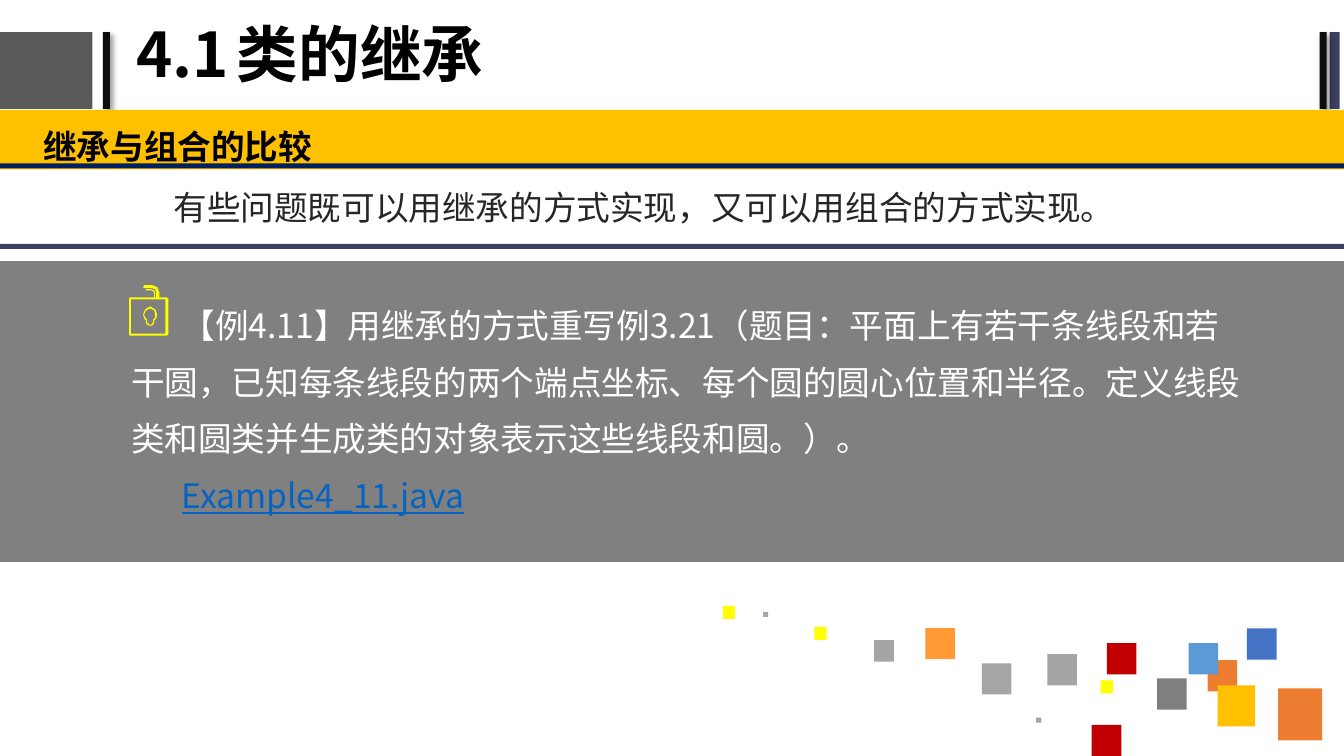
from dataclasses import dataclass

from lxml import etree
from pptx import Presentation
from pptx.dml.color import RGBColor
from pptx.enum.shapes import MSO_SHAPE
from pptx.enum.text import MSO_ANCHOR, MSO_AUTO_SIZE, PP_ALIGN
from pptx.oxml.ns import qn
from pptx.util import Inches, Pt

RECT = MSO_SHAPE.RECTANGLE
TOP, MIDDLE = MSO_ANCHOR.TOP, MSO_ANCHOR.MIDDLE
NO_FIT = MSO_AUTO_SIZE.NONE
LEFT = PP_ALIGN.LEFT


@dataclass(frozen=True)
class Theme:
    font: str = "Noto Sans CJK SC"
    head: int = 44
    body: int = 24
    black: str = "000000"
    white: str = "FFFFFF"
    ink: str = "262626"
    coal: str = "0D0D0D"
    slate: str = "595959"
    panel: str = "808080"
    dusk: str = "3B3F60"
    navy: str = "002060"
    gold: str = "FFC000"
    lemon: str = "FFFF00"
    orange: str = "ED7D31"
    amber: str = "FF9933"
    sky: str = "5B9BD5"
    blue: str = "4472C4"
    red: str = "C00000"
    ash: str = "A5A5A5"
    mist: str = "A6A6A6"
    stone: str = "7F7F7F"
    link: str = "0563C1"


def write(par, text, theme, size, color, bold=False, under=False,
          lead=1.0, indent=0, tab=0):
    """Fill one paragraph; indent and tab are in inches."""
    props = par._p.get_or_add_pPr()
    props.set("marL", "0")
    props.set("indent", str(Inches(indent)))
    if tab:
        stops = etree.SubElement(props, qn("a:tabLst"))
        etree.SubElement(stops, qn("a:tab"), pos=str(Inches(tab)), algn="l")
    par.alignment = LEFT
    par.line_spacing = lead
    par.space_before = Pt(0)
    run = par.add_run()
    run.text = text
    font = run.font
    font.name, font.size = theme.font, Pt(size)
    font.bold, font.underline = bold, under
    font.color.rgb = RGBColor.from_string(color)
    latin = run._r.rPr.find(qn("a:latin"))
    east = etree.Element(qn("a:ea"), typeface=theme.font)
    latin.addnext(east)


class Deck:
    """Places are given in percent of the slide's width and height."""

    def __init__(self, theme):
        self.theme = theme
        self.file = Presentation()
        self.file.slide_width = Inches(13.33)
        self.file.slide_height = Inches(7.5)
        self.slide = self.file.slides.add_slide(self.file.slide_layouts[5])

    def spot(self, x, y):
        return (round(self.file.slide_width * x / 100),
                round(self.file.slide_height * y / 100))

    def box(self, x, y, w, h):
        return self.spot(x, y) + self.spot(w, h)

    def paint(self, shape, color):
        shape.shadow.inherit = False
        shape.fill.solid()
        shape.fill.fore_color.rgb = RGBColor.from_string(color)
        shape.line.fill.background()

    def rect(self, x, y, w, h, color, edge=None, shade=False):
        shape = self.slide.shapes.add_shape(RECT, *self.box(x, y, w, h))
        self.paint(shape, color)
        if edge:
            shape.line.color.rgb = RGBColor.from_string(edge)
            shape.line.width = Pt(0.25)
        if shade:
            effects = shape._element.spPr.find(qn("a:effectLst"))
            outer = etree.SubElement(
                effects, qn("a:outerShdw"), blurRad=str(Pt(4)),
                dist=str(Pt(3)), dir=str(45 * 60000), rotWithShape="0")
            tint = etree.SubElement(outer, qn("a:srgbClr"),
                                    val=self.theme.black)
            etree.SubElement(tint, qn("a:alpha"), val="40000")

    def form(self, x, y, rings, color):
        """Draw closed rings, in hundredths of an inch from x, y."""
        first, *rest = rings
        pen = self.slide.shapes.build_freeform(*first[0], scale=Inches(0.01))
        pen.add_line_segments(first[1:], close=True)
        for ring in rest:
            pen.move_to(*ring[0])
            pen.add_line_segments(ring[1:], close=True)
        self.paint(pen.convert_to_shape(*self.spot(x, y)), color)

    def title(self, x, y, w, h, text, **look):
        shape = self.slide.shapes.title
        shape.left, shape.top, shape.width, shape.height = self.box(x, y, w, h)
        frame = shape.text_frame
        frame.word_wrap, frame.auto_size = True, NO_FIT
        frame.vertical_anchor = MIDDLE
        write(frame.paragraphs[0], text, self.theme, self.theme.head,
              self.theme.black, **look)

    def text(self, x, y, w, h, *items, **look):
        """Each item is a text and a dict of its own format."""
        shape = self.slide.shapes.add_textbox(*self.box(x, y, w, h))
        frame = shape.text_frame
        frame.word_wrap, frame.auto_size = True, NO_FIT
        frame.vertical_anchor = TOP
        frame.margin_left = frame.margin_right = Inches(0.13)
        frame.margin_top = frame.margin_bottom = Inches(0.07)
        for i, (words, own) in enumerate(items):
            par = frame.add_paragraph() if i else frame.paragraphs[0]
            write(par, words, self.theme, self.theme.body, **look, **own)


# Lock outlines
LOCK = [
    [(37, 12), (30, 12), (30, 7), (28, 2), (23, 0), (15, 0), (14, 2), (15, 3),
     (23, 3), (26, 4), (27, 7), (27, 12), (26, 12), (26, 8), (25, 5), (22, 4),
     (17, 4), (17, 5), (22, 5), (24, 6), (25, 8), (25, 12), (1, 12), (0, 13),
     (0, 49), (1, 50), (37, 50), (39, 49), (39, 13)],
    [(36, 14), (36, 48), (2, 48), (2, 14)],
]
KEY = [
    [(21, 21), (16, 24), (14, 29), (15, 33), (17, 35), (17, 38), (19, 40),
     (23, 40), (25, 38), (25, 35), (27, 33), (28, 29), (26, 24)],
    [(21, 23), (17, 25), (15, 29), (16, 32), (18, 34), (18, 37), (20, 39),
     (22, 39), (24, 37), (24, 34), (26, 32), (26, 29), (25, 25)],
]

# Width and height of each kind of tile
SIZE = {"big": (3.28, 6.88), "wide": (2.78, 5.4), "mid": (2.2, 4.13),
        "small": (1.48, 2.85), "tiny": (0.9, 1.73), "dot": (0.38, 0.67)}


def main():
    hue = Theme()
    deck = Deck(hue)

    # Header
    for x, w, color, shade in [(-0.15, 7.02, hue.slate, False),
                               (7.65, 0.53, hue.coal, True),
                               (98.93, 0.75, hue.dusk, False),
                               (98.18, 0.53, hue.coal, True)]:
        deck.rect(x, 4.27, w, 10.13, color, shade=shade)
    deck.title(9.38, 0.27, 63.53, 14.67, "4.1\t类的继承",
               bold=True, lead=0.9, tab=1.34)

    # Heading band
    deck.rect(-0.38, 14.53, 100.55, 7.87, hue.gold)
    deck.text(2.25, 14.67, 97.75, 7.73, ("继承与组合的比较", {}),
              color=hue.black, bold=True, lead=1.2)
    deck.rect(0, 21.6, 100, 0.67, hue.navy)

    # Example panel
    deck.rect(-0.38, 34.4, 100.38, 40, hue.panel, edge=hue.white)
    for rings in (LOCK, KEY):
        deck.form(9.6, 37.73, rings, hue.lemon)
    deck.text(8.78, 37.33, 85, 34.93,
              ("【例4.11】用继承的方式重写例3.21（题目：平面上有若干条线段和若干圆，"
               "已知每条线段的两个端点坐标、每个圆的圆心位置和半径。"
               "定义线段类和圆类并生成类的对象表示这些线段和圆。）。",
               {"color": hue.white}),
              ("Example4_11.java", {"color": hue.link, "under": True}),
              lead=1.4, indent=0.5)
    deck.rect(-0.38, 32.27, 100.38, 0.67, hue.dusk)

    # Scattered tiles
    for x, y, kind, color in [
            (95.1, 91.07, "big", hue.orange), (89.85, 87.33, "mid", hue.orange),
            (90.6, 90.67, "wide", hue.gold), (88.43, 85.07, "mid", hue.sky),
            (77.1, 94.93, "dot", hue.ash), (92.78, 83.13, "mid", hue.blue),
            (81.9, 90, "tiny", hue.lemon), (77.93, 86.53, "mid", hue.ash),
            (82.35, 85.07, "mid", hue.red), (86.1, 89.73, "mid", hue.stone),
            (81.23, 95.87, "mid", hue.red), (56.78, 80.93, "dot", hue.ash),
            (60.6, 82.93, "tiny", hue.lemon), (65.03, 84.67, "small", hue.ash),
            (68.85, 83.07, "mid", hue.amber), (73.05, 87.73, "mid", hue.mist),
            (53.78, 80.13, "tiny", hue.lemon)]:
        deck.rect(x, y, *SIZE[kind], color)

    # Lead sentence
    deck.text(8.18, 21.6, 82.13, 10.53,
              ("有些问题既可以用继承的方式实现，又可以用组合的方式实现。", {}),
              color=hue.ink, lead=1.4, indent=0.5)

    deck.file.save("out.pptx")


if __name__ == "__main__":
    main()
